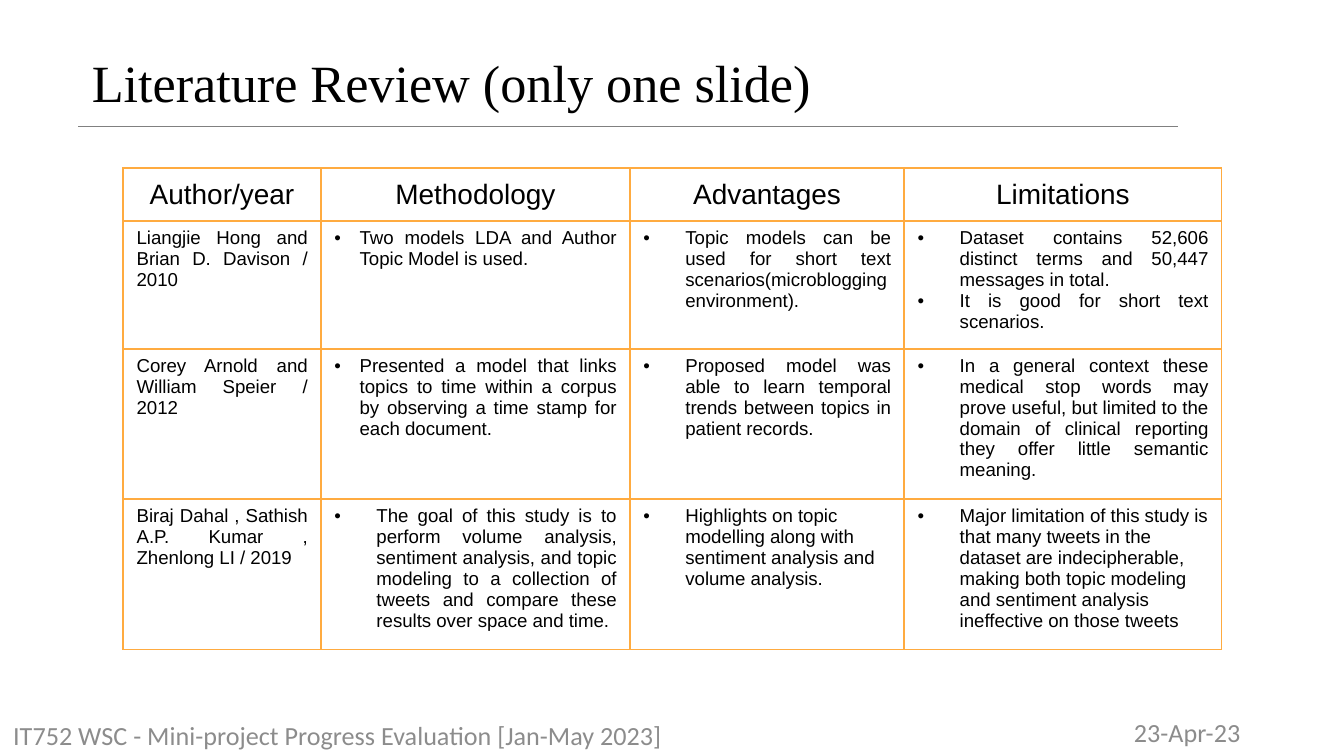
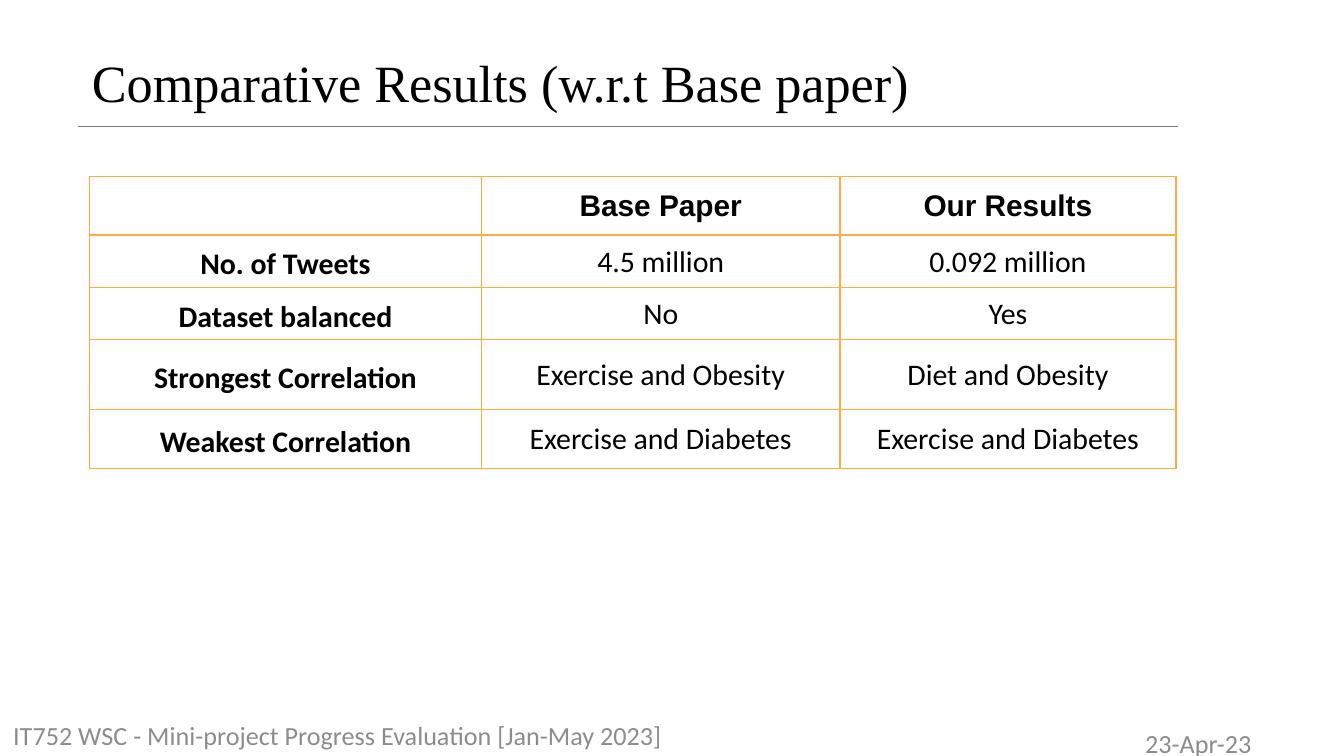
from dataclasses import dataclass

from lxml import etree
from pptx import Presentation
from pptx.dml.color import RGBColor
from pptx.enum.shapes import MSO_CONNECTOR
from pptx.enum.text import MSO_ANCHOR, MSO_AUTO_SIZE, PP_ALIGN
from pptx.oxml.ns import qn
from pptx.util import Pt

LEFT, MID, JUST = PP_ALIGN.LEFT, PP_ALIGN.CENTER, PP_ALIGN.JUSTIFY
TOP, CENTER = MSO_ANCHOR.TOP, MSO_ANCHOR.MIDDLE
FIXED = MSO_AUTO_SIZE.NONE
STRAIGHT = MSO_CONNECTOR.STRAIGHT


@dataclass(frozen=True)
class Theme:
    ink: str = "000000"
    gray: str = "8C8C8C"
    rule: str = "808080"
    grid: str = "FFAB40"
    serif: str = "Times New Roman"
    sans: str = "Arial"
    plain: str = "Calibri"
    title: int = 28
    foot: int = 14
    head: int = 15
    body: int = 10
    data: int = 16


THEME = Theme()


def write(frame, text, font=THEME.sans, size=THEME.body, color=THEME.ink,
          bold=False, align=LEFT, space=None, hang=0):
    """Fill a text frame, one paragraph a line; hang > 0 makes bullets."""
    for i, line in enumerate(text.split("\n")):
        para = frame.paragraphs[0] if i == 0 else frame.add_paragraph()
        para.alignment = align
        if space:
            para.line_spacing = space
        if hang:
            props = para._p.get_or_add_pPr()
            props.set("marL", str(Pt(hang)))
            props.set("indent", str(-Pt(hang)))
            etree.SubElement(props, qn("a:buFont"), typeface=THEME.sans)
            etree.SubElement(props, qn("a:buChar"), char="•")
        run = para.add_run()
        run.text = line
        run.font.name, run.font.size = font, Pt(size)
        run.font.bold = bold
        run.font.color.rgb = RGBColor.from_string(color)


def inset(item, left, top, right, bottom, anchor):
    """Set the margins and anchor of a text frame or a table cell."""
    item.margin_left, item.margin_top = Pt(left), Pt(top)
    item.margin_right, item.margin_bottom = Pt(right), Pt(bottom)
    item.vertical_anchor = anchor


class Deck:
    def __init__(self, theme):
        self.theme = theme
        self.prs = Presentation()
        self.prs.slide_width, self.prs.slide_height = Pt(720), Pt(405)
        self.slide = None

    def page(self, title, width, date, foot):
        """Start a slide with its title, rule and footers."""
        t = self.theme
        self.slide = self.prs.slides.add_slide(self.prs.slide_layouts[5])
        self.rule(42, 67.5, 631)
        self.title(title, width)
        self.label("23-Apr-23", *date, 168, 18, align=MID)
        self.label("IT752 WSC - Mini-project Progress Evaluation "
                   "[Jan-May 2023]", 0, 383, foot, 22)

    def title(self, text, width):
        t = self.theme
        box = self.slide.shapes.title
        box.left, box.top = Pt(42), Pt(16.5)
        box.width, box.height = Pt(width), Pt(45)
        frame = box.text_frame
        frame.auto_size, frame.word_wrap = FIXED, True
        inset(frame, 7.2, 10.5, 7.2, 0, TOP)
        write(frame, text, font=t.serif, size=t.title)

    def rule(self, x1, y, x2):
        line = self.slide.shapes.add_connector(
            STRAIGHT, Pt(x1), Pt(y), Pt(x2), Pt(y))
        line.line.color.rgb = RGBColor.from_string(self.theme.rule)
        line.line.width = Pt(0.5)
        etree.SubElement(line._element.spPr, qn("a:effectLst"))

    def label(self, text, x, y, w, h, align=LEFT):
        t = self.theme
        box = self.slide.shapes.add_textbox(Pt(x), Pt(y), Pt(w), Pt(h))
        frame = box.text_frame
        frame.word_wrap = True
        inset(frame, 7.2, 0, 7.2, 0, CENTER)
        write(frame, text, font=t.plain, size=t.foot, color=t.gray,
              align=align)

    def border(self, cell):
        props = cell._tc.get_or_add_tcPr()
        for i, side in enumerate(("lnL", "lnR", "lnT", "lnB")):
            line = etree.Element(qn("a:" + side), w=str(Pt(1)))
            fill = etree.SubElement(line, qn("a:solidFill"))
            etree.SubElement(fill, qn("a:srgbClr"), val=self.theme.grid)
            props.insert(i, line)

    def table(self, x, y, cols, rows, cells, style):
        """Draw a grid; style(row, col) gives a cell's text format."""
        grid = self.slide.shapes.add_table(
            len(rows), len(cols), Pt(x), Pt(y),
            Pt(sum(cols)), Pt(sum(rows))).table
        grid.first_row = grid.horz_banding = False
        for col, w in zip(grid.columns, cols):
            col.width = Pt(w)
        for row, h in zip(grid.rows, rows):
            row.height = Pt(h)
        for r, line in enumerate(cells):
            for c, text in enumerate(line):
                cell = grid.cell(r, c)
                cell.fill.background()
                self.border(cell)
                if not text:
                    continue
                form = style(r, c)
                if form["align"] == MID:
                    inset(cell, 0.7, 0.7, 0.7, 0, CENTER)
                else:
                    inset(cell, 7.2, 3.6, 7.2, 3.6, TOP)
                write(cell.text_frame, text, **form)


def review(r, c):
    """Format of the literature table."""
    if r == 0:
        return dict(size=THEME.head, align=MID)
    if c == 0:
        return dict(align=JUST)
    hang = 13.5 if c == 1 and r < 3 else 22.5
    return dict(align=LEFT if r == 3 and c > 1 else JUST, hang=hang)


def result(r, c):
    """Format of the results table."""
    return dict(font=THEME.plain if r else THEME.sans, size=THEME.data,
                bold=r == 0 or c == 0, align=MID,
                space=1.15 if c == 0 else None)


deck = Deck(THEME)

# Literature review
deck.page("Literature Review (only one slide)", 654, (552, 383), 426)
deck.table(66, 90, [106, 165.5, 147, 170], [28.5, 68.5, 80.5, 80.5], [
    ["Author/year", "Methodology", "Advantages", "Limitations"],
    ["Liangjie Hong and Brian D. Davison / 2010",
     "Two models LDA and Author Topic Model is used.",
     "Topic models can be used for short text "
     "scenarios(microblogging environment).",
     "Dataset contains 52,606 distinct terms and 50,447 messages in total.\n"
     "It is good for short text scenarios."],
    ["Corey Arnold and William Speier / 2012",
     "Presented a model that links topics to time within a corpus by "
     "observing a time stamp for each document.",
     "Proposed model was able to learn temporal trends between topics in "
     "patient records.",
     "In a general context these medical stop words may prove useful, but "
     "limited to the domain of clinical reporting they offer little "
     "semantic meaning."],
    ["Biraj Dahal , Sathish A.P. Kumar , Zhenlong LI / 2019",
     "The goal of this study is to perform volume analysis, sentiment "
     "analysis, and topic modeling to a collection of tweets and compare "
     "these results over space and time.",
     "Highlights on topic modelling along with sentiment analysis and "
     "volume analysis.",
     "Major limitation of this study is that many tweets in the dataset are "
     "indecipherable, making both topic modeling and sentiment analysis "
     "ineffective on those tweets"],
], review)

# Comparative results
deck.page("Comparative Results (w.r.t Base paper)", 588, (558, 389), 462)
deck.table(48, 94.5, [210, 192, 180], [31.5, 28, 28, 37.5, 31.5], [
    ["", "Base Paper", "Our Results"],
    ["No. of Tweets", "4.5 million", "0.092 million"],
    ["Dataset balanced", "No", "Yes"],
    ["Strongest Correlation", "Exercise and Obesity", "Diet and Obesity"],
    ["Weakest Correlation", "Exercise and Diabetes", "Exercise and Diabetes"],
], result)

deck.prs.save("out.pptx")
